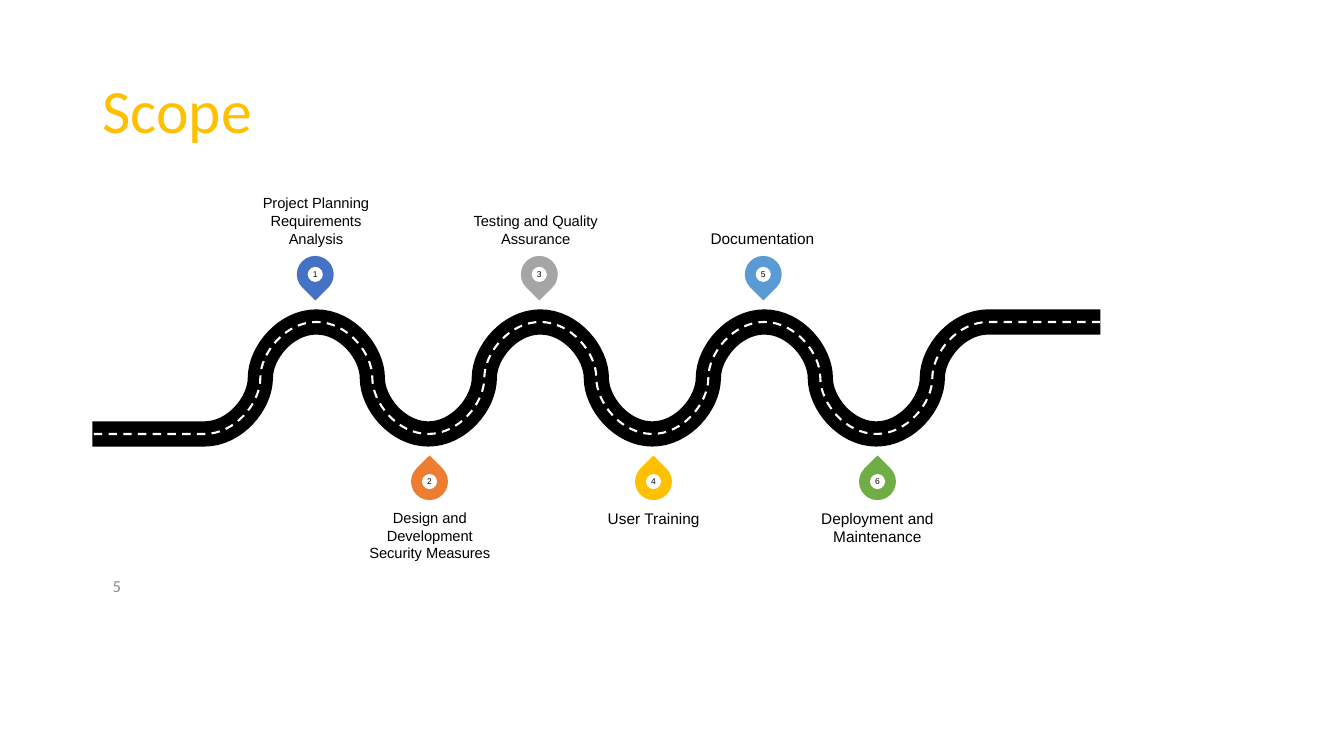
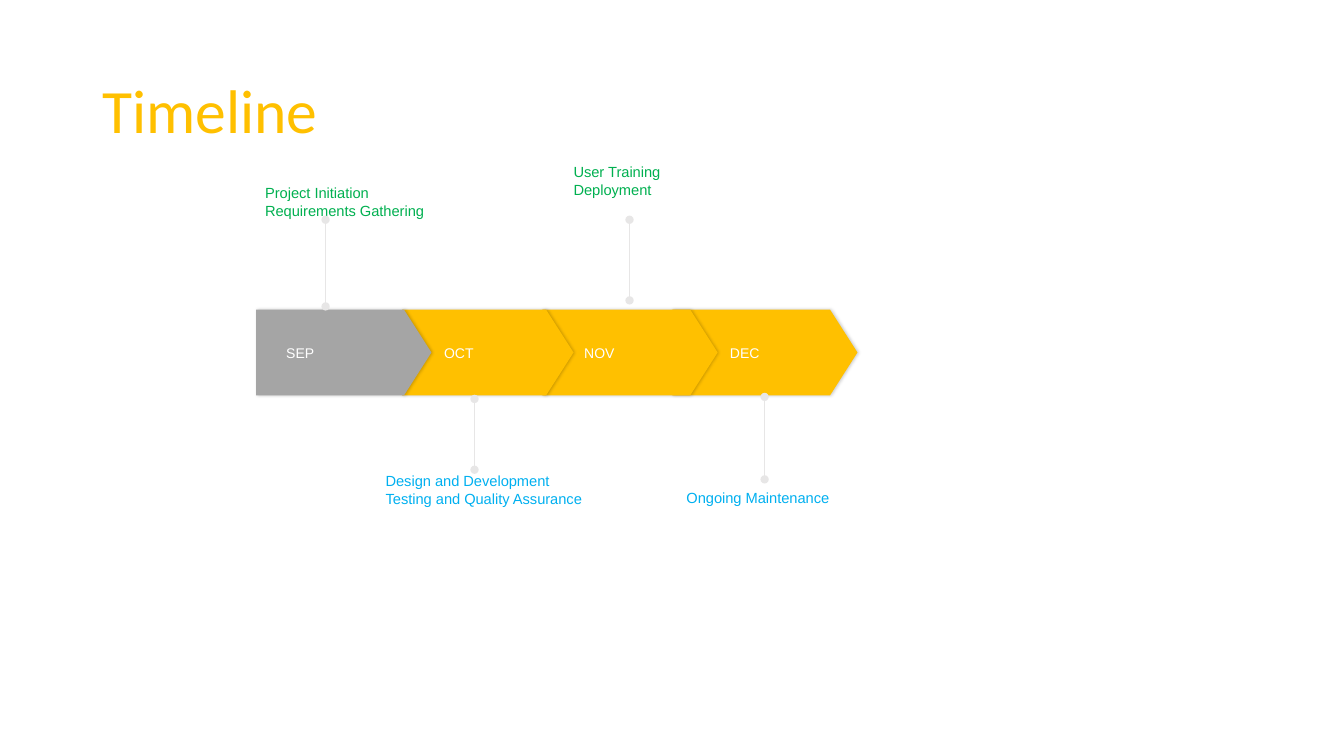
from dataclasses import dataclass

from lxml import etree
from pptx import Presentation
from pptx.dml.color import RGBColor
from pptx.enum.dml import MSO_LINE
from pptx.enum.shapes import MSO_CONNECTOR, MSO_SHAPE
from pptx.enum.text import MSO_ANCHOR, MSO_AUTO_SIZE, PP_ALIGN
from pptx.oxml.ns import qn
from pptx.util import Inches, Pt

DASH = MSO_LINE.DASH
LINE = MSO_CONNECTOR.STRAIGHT
DROP, DOT, PLATE = MSO_SHAPE.TEAR, MSO_SHAPE.OVAL, MSO_SHAPE.PENTAGON
TOP, MID, LOW = MSO_ANCHOR.TOP, MSO_ANCHOR.MIDDLE, MSO_ANCHOR.BOTTOM
LEFT, CENTER = PP_ALIGN.LEFT, PP_ALIGN.CENTER
FIXED = MSO_AUTO_SIZE.NONE

COLS, ROWS = 120, 67.5
CELL = Inches(1) / 9
TITLE_ONLY = 5
ROUND = 0.55


@dataclass(frozen=True)
class Theme:
    head: str = "Calibri"
    body: str = "Arial"
    gold: str = "FFC000"
    gray: str = "A5A5A5"
    blue: str = "4472C4"
    sky: str = "5B9BD5"
    rust: str = "ED7D31"
    leaf: str = "70AD47"
    green: str = "00B050"
    cyan: str = "00B0F0"
    black: str = "000000"
    white: str = "FFFFFF"
    pale: str = "E7E6E6"
    dim: str = "8C8C8C"
    title: float = 44
    page: float = 12
    large: float = 11
    label: float = 10.5
    month: float = 10
    tiny: float = 6


THEME = Theme()


def grid(*cells):
    return [round(cell * CELL) for cell in cells]


def tint(color):
    return RGBColor.from_string(color)


def write(frame, text, size=THEME.label, color=THEME.black, font=THEME.body,
          align=LEFT, anchor=TOP, inset=(0, 0, 0, 0), space=None):
    frame.word_wrap = True
    frame.auto_size = FIXED
    frame.vertical_anchor = anchor
    (frame.margin_left, frame.margin_top,
     frame.margin_right, frame.margin_bottom) = grid(*inset)
    frame.text = text
    for para in frame.paragraphs:
        para.alignment = align
        para.line_spacing = space
        style = para.runs[0].font
        style.name, style.size, style.bold = font, Pt(size), False
        style.color.rgb = tint(color)


class Deck:
    def __init__(self, theme):
        self.theme = theme
        self.file = Presentation()
        self.file.slide_width, self.file.slide_height = grid(COLS, ROWS)
        self.slide = None

    def page(self, title):
        layout = self.file.slide_layouts[TITLE_ONLY]
        self.slide = self.file.slides.add_slide(layout)
        head = self.slide.shapes.title
        head.left, head.top, head.width, head.height = grid(8.25, 3.6, 103.5, 13.05)
        write(head.text_frame, title, size=self.theme.title, color=self.theme.gold,
              font=self.theme.head, anchor=MID, inset=(0.9, 0.45, 0.9, 0.45), space=0.9)

    def text(self, box, text, **style):
        shape = self.slide.shapes.add_textbox(*grid(*box))
        write(shape.text_frame, text, **style)

    def shape(self, kind, box, color):
        shape = self.slide.shapes.add_shape(kind, *grid(*box))
        shape.shadow.inherit = False
        shape.fill.solid()
        shape.fill.fore_color.rgb = tint(color)
        shape.line.fill.background()
        return shape

    def track(self, points, color, width, dash=None):
        spots = [grid(*point) for point in points]
        build = self.slide.shapes.build_freeform(*spots[0])
        build.add_line_segments(spots[1:], close=False)
        shape = build.convert_to_shape()
        steps = list(shape.element.iter(qn("a:lnTo")))[1:-1]
        for trio in zip(*[iter(steps)] * 3):
            curve = etree.Element(qn("a:cubicBezTo"))
            trio[0].addprevious(curve)
            for step in trio:
                curve.append(step[0])
                step.getparent().remove(step)
        shape.shadow.inherit = False
        shape.fill.background()
        shape.line.color.rgb = tint(color)
        shape.line.width = Pt(width)
        shape.line.dash_style = dash

    def pin(self, x, y, color, text, turn):
        side, hole = 3.3, 1.35
        drop = self.shape(DROP, (x - side / 2, y - side / 2, side, side), color)
        drop.adjustments[0] = 1
        drop.rotation = turn
        dot = self.shape(DOT, (x - hole / 2, y - hole / 2, hole, hole), self.theme.white)
        write(dot.text_frame, text, size=self.theme.tiny, align=CENTER, anchor=MID)

    def plate(self, x, width, text, color, pad):
        shape = self.shape(PLATE, (x, 27.65, width, 7.65), color)
        shape.adjustments[0] = 0.32
        glow = shape.element.spPr.find(qn("a:effectLst"))
        shade = etree.SubElement(glow, qn("a:outerShdw"), blurRad=str(Pt(2.2)),
                                 dist=str(Pt(0.8)), dir="0", rotWithShape="0")
        ink = etree.SubElement(shade, qn("a:srgbClr"), val=self.theme.black)
        etree.SubElement(ink, qn("a:alpha"), val="20000")
        write(shape.text_frame, text, size=self.theme.month, color=self.theme.white,
              anchor=MID, inset=(pad, 0, 0, 0))

    def stem(self, x, start, end):
        line = self.slide.shapes.add_connector(LINE, *grid(x, start, x, end))
        line.line.color.rgb = tint(self.theme.pale)
        line.line.width = Pt(0.75)
        edge = line.line._get_or_add_ln()
        for tag in ("a:headEnd", "a:tailEnd"):
            etree.SubElement(edge, qn(tag), type="oval")
        etree.SubElement(line.element.spPr, qn("a:effectLst"))


def road(left, mid, step, bends):
    half = step / 2
    pull = half * ROUND
    points = [(left + (bends + 1) * step, mid - half), (left + bends * step, mid - half)]
    for bend in range(bends, 1, -1):
        x = left + bend * step
        rise = 1 if bend % 2 else -1
        y, end = mid + rise * half, mid - rise * half
        points += [(x - pull, y), (x - half, mid + rise * (half - pull)), (x - half, mid),
                   (x - half, mid - rise * (half - pull)), (x - step + pull, end),
                   (x - step, end)]
    return points + [(left, mid + half)]


def scope(deck):
    theme = deck.theme
    left, step = 8.25, 10
    deck.page("Scope")
    deck.text((9.18, 50.4, 5.4, 3.87), "5", size=theme.page, color=theme.dim,
              font=theme.head, anchor=MID, inset=(0.9,) * 4)
    track = road(left, 33.75, step, 8)
    deck.track(track, theme.black, 18)
    deck.track(track, theme.white, 1.5, DASH)
    stops = [
        (21.87, 12.69, "Project Planning\nRequirements Analysis", theme.blue, theme.label),
        (31.5, 13.77, "Design and Development\nSecurity Measures", theme.rust, theme.label),
        (41.49, 12.69, "Testing and Quality Assurance", theme.gray, theme.label),
        (52.02, 12.69, "User Training", theme.gold, theme.large),
        (61.74, 12.69, "Documentation", theme.sky, theme.large),
        (72, 12.69, "Deployment and Maintenance", theme.leaf, theme.large),
    ]
    for count, (start, wide, text, color, size) in enumerate(stops, 1):
        if count % 2:
            nudge, y, turn, top, anchor = -0.1, 24.5, 135, 16.85, LOW
        else:
            nudge, y, turn, top, anchor = 0.1, 43, 315, 45.45, TOP
        x = left + (count + 1) * step + nudge
        deck.pin(x, y, color, str(count), turn)
        deck.text((start, top, wide, 5.22), text, size=size, align=CENTER, anchor=anchor)


def timeline(deck):
    theme = deck.theme
    deck.page("Timeline")
    months = [
        (60.03, 16.53, "DEC", theme.gold, 5.15),
        (48.42, 15.66, "NOV", theme.gold, 3.75),
        (35.91, 15.3, "OCT", theme.gold, 3.75),
        (22.86, 15.66, "SEP", theme.gray, 2.7),
    ]
    for month in months:
        deck.plate(*month)
    high = 6.3
    above = [
        (23.67, 19.57, "Project Initiation\nRequirements Gathering", 29.07, 27.36, 19.62),
        (51.21, 17.73, "User Training\nDeployment", 56.21, 26.82, 19.62),
    ]
    below = [
        (34.43, 42.17, "Design and Development\nTesting and Quality Assurance",
         42.37, 41.94, 35.62),
        (61.29, 43.65, "Ongoing Maintenance", 68.27, 42.8, 35.44),
    ]
    for notes, lift, color, anchor in ((above, high, theme.green, LOW),
                                       (below, 0, theme.cyan, TOP)):
        for x, edge, text, *stem in notes:
            deck.text((x, edge - lift, 18.3, high), text, color=color, anchor=anchor)
            deck.stem(*stem)


deck = Deck(THEME)
scope(deck)
timeline(deck)
deck.file.save("out.pptx")
